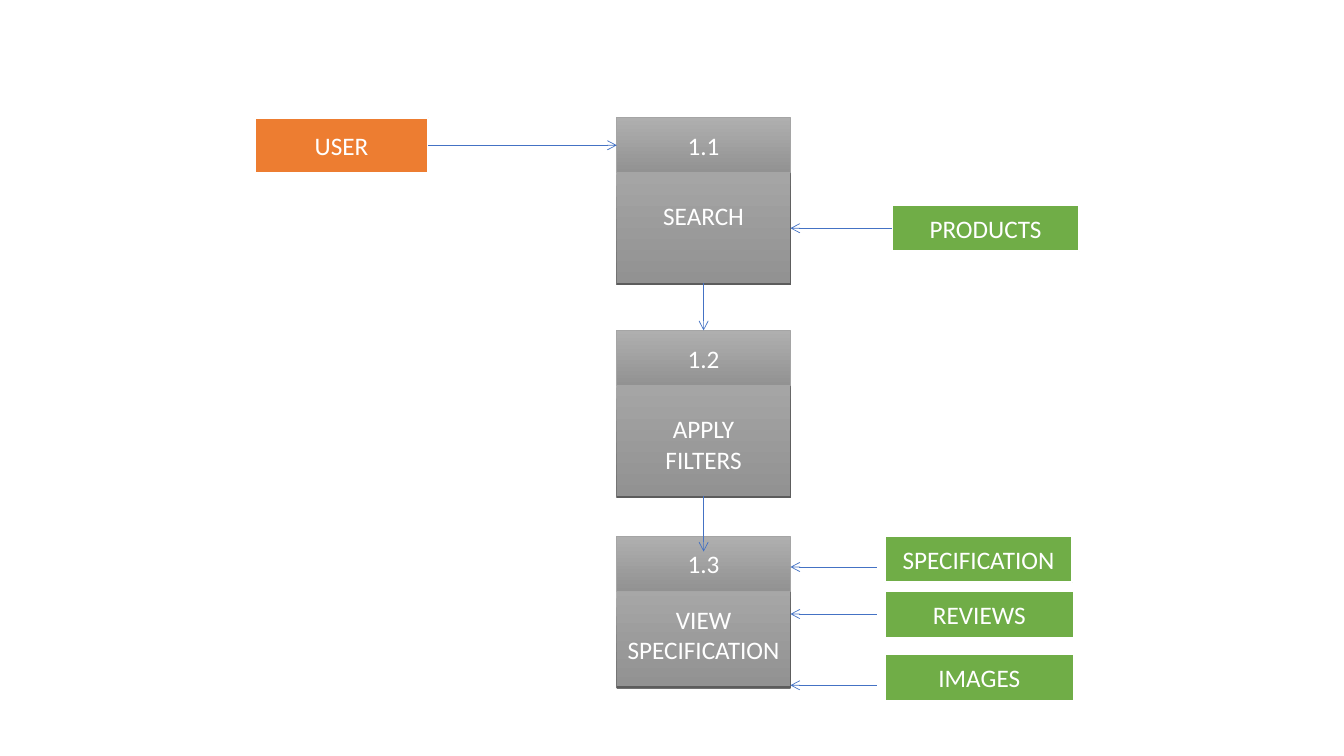
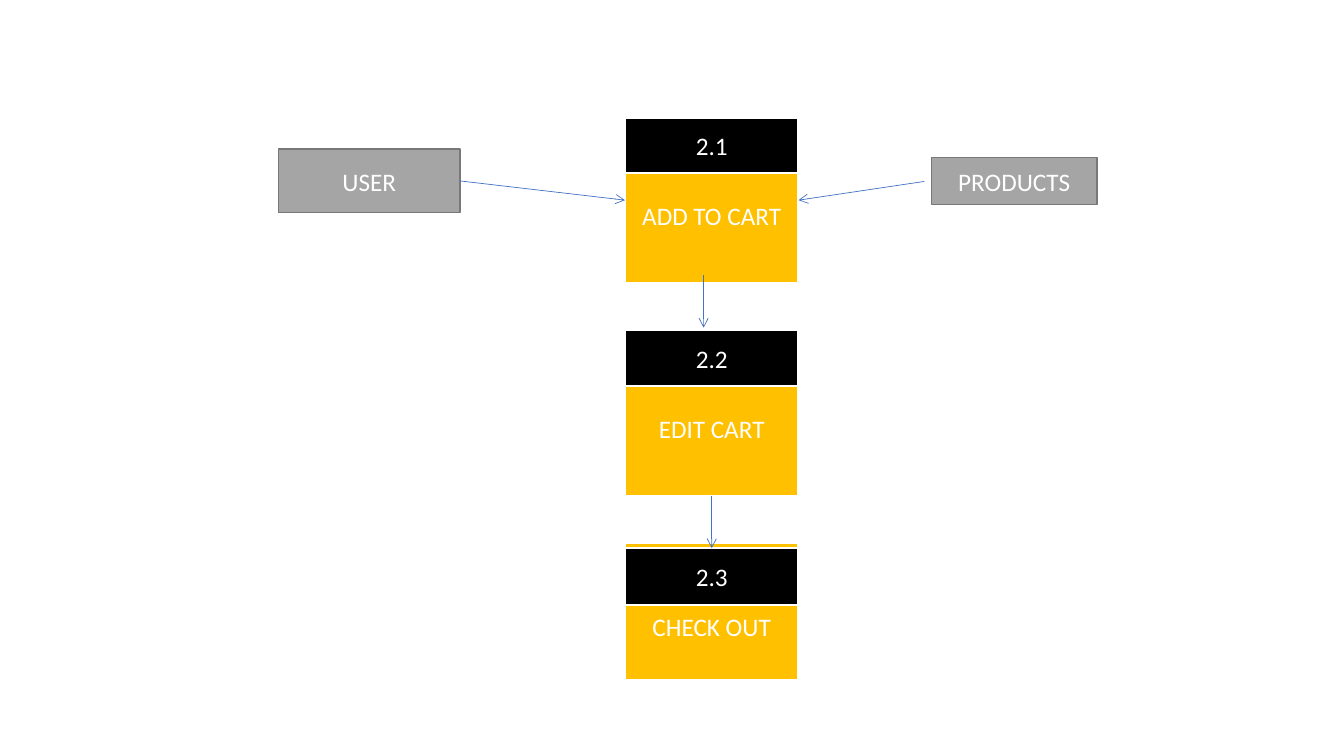
from dataclasses import dataclass
from typing import Optional

from lxml.etree import SubElement
from pptx import Presentation
from pptx.dml.color import RGBColor as Rgb
from pptx.enum.shapes import MSO_CONNECTOR as Connector, MSO_SHAPE as Shape
from pptx.enum.text import MSO_ANCHOR as Anchor, PP_ALIGN as Align
from pptx.oxml.ns import qn
from pptx.util import Pt


@dataclass(frozen=True)
class Style:
    """Look of a box: one fill colour is solid, two make a gradient."""
    fills: tuple
    line: Optional[str] = None
    line_width: float = 1.5
    shadow: bool = False


@dataclass(frozen=True)
class Theme:
    font: str = "Calibri"
    size: float = 18
    line_height: float = 22
    text: str = "FFFFFF"
    arrow: str = "4472C4"
    arrow_width: float = 0.5
    orange: Style = Style(("ED7D31",), "FFFFFF")
    green: Style = Style(("70AD47",), "FFFFFF")
    gray: Style = Style(("A5A5A5",), "787878", 1)
    gold: Style = Style(("FFC000",), "FFFFFF")
    black: Style = Style(("000000",), "FFFFFF")
    metal: Style = Style(("AFAFAF", "929292"), shadow=True)
    metal_head: Style = Style(("AFAFAF", "929292"), "A5A5A5", 0.5)


THEME = Theme()
TOP, LEFT, BOTTOM, RIGHT = range(4)  # connection sites of a rectangle

# Process columns: shared box width and vertical rhythm
STEP_WIDTH, STEP_HEIGHT, HEAD_HEIGHT = 124, 118, 39.5
FIRST_TOP, STEP_PITCH = 84, 152


def rgb(color):
    return Rgb.from_string(color)


def add_drop_shadow(box):
    effects = box.element.spPr.find(qn("a:effectLst"))
    shadow = SubElement(effects, qn("a:outerShdw"), blurRad="0",
                        dist=str(Pt(1.5)), dir="5400000", algn="ctr", rotWithShape="0")
    color = SubElement(shadow, qn("a:srgbClr"), val="000000")
    SubElement(color, qn("a:alpha"), val="63000")


def paint(box, style):
    if len(style.fills) == 1:
        box.fill.solid()
        box.fill.fore_color.rgb = rgb(style.fills[0])
    else:
        box.fill.gradient()
        box.fill.gradient_angle = 270
        for stop, color in zip(box.fill.gradient_stops, style.fills):
            stop.color.rgb = rgb(color)
    if style.line:
        box.line.color.rgb = rgb(style.line)
        box.line.width = Pt(style.line_width)
    else:
        box.line.fill.background()
    box.shadow.inherit = False
    if style.shadow:
        add_drop_shadow(box)


def add_box(page, text, style, left, top, width, height, lead=0):
    """Add a labelled rectangle; lead is the number of lines kept free above the text."""
    box = page.shapes.add_shape(Shape.RECTANGLE, Pt(left), Pt(top), Pt(width), Pt(height))
    paint(box, style)
    frame = box.text_frame
    frame.word_wrap = True
    frame.vertical_anchor = Anchor.MIDDLE
    frame.margin_top = Pt(3.6 + lead * THEME.line_height)
    frame.text = text
    for para in frame.paragraphs:
        para.alignment = Align.CENTER
        para.font.name = THEME.font
        para.font.size = Pt(THEME.size)
        para.font.color.rgb = rgb(THEME.text)
    return box


def add_steps(page, left, steps, body_style, head_style):
    """Add the process column; return its bodies and its numbered heads."""
    bodies = [add_box(page, text, body_style, left, top, STEP_WIDTH, height, lead)
              for _, text, top, height, lead, _, _ in steps]
    heads = [add_box(page, number, head_style, left, top, STEP_WIDTH, height)
             for number, _, _, _, _, top, height in steps]
    return bodies, heads


def locate(end):
    """Turn an end, either (box, site) or (x, y) in points, into a position."""
    place, site = end
    if isinstance(place, (int, float)):
        return Pt(place), Pt(site)
    across, down = {TOP: (1, 0), LEFT: (0, 1), BOTTOM: (1, 2), RIGHT: (2, 1)}[site]
    return place.left + place.width * across // 2, place.top + place.height * down // 2


def add_arrow(page, start, end):
    arrow = page.shapes.add_connector(Connector.STRAIGHT, *locate(start), *locate(end))
    for (place, site), connect in ((start, arrow.begin_connect), (end, arrow.end_connect)):
        if not isinstance(place, (int, float)):
            connect(place, site)
    arrow.line.color.rgb = rgb(THEME.arrow)
    arrow.line.width = Pt(THEME.arrow_width)
    SubElement(arrow.line._get_or_add_ln(), qn("a:tailEnd"), type="arrow")
    SubElement(arrow.element.spPr, qn("a:effectLst"))


def build_search(page):
    left, second_top = 440.6, FIRST_TOP + STEP_PITCH
    right = left + STEP_WIDTH
    user = add_box(page, "USER", THEME.orange, 182, FIRST_TOP, STEP_WIDTH, HEAD_HEIGHT)
    # number, text, body top and height, free lines, head top and height
    bodies, heads = add_steps(page, left, [
        ("1.1", "SEARCH", FIRST_TOP, STEP_HEIGHT, 1, FIRST_TOP, HEAD_HEIGHT),
        ("1.2", "APPLY\nFILTERS", second_top, STEP_HEIGHT, 2, second_top, HEAD_HEIGHT),
        ("1.3", "VIEW SPECIFICATION", 394, 96, 1, 383, HEAD_HEIGHT),
    ], THEME.metal, THEME.metal_head)

    # Data stores
    products = add_box(page, "PRODUCTS", THEME.green, 637, 146.5, 134, 33)
    for text, top, width, arrow_y in (("SPECIFICATION", 382.5, 134, 405),
                                      ("REVIEWS", 422, 135, 438.6),
                                      ("IMAGES", 467, 135, 489.5)):
        add_box(page, text, THEME.green, 632, top, width, 33.5)
        add_arrow(page, (626.4, arrow_y), (right, arrow_y))

    # Flow
    add_arrow(page, (user, RIGHT), (heads[0], LEFT))
    add_arrow(page, (products, LEFT), (right, 163))
    for upper, lower in zip(bodies, bodies[1:]):
        add_arrow(page, (upper, BOTTOM), (lower, TOP))


def build_cart(page):
    second_top = FIRST_TOP + STEP_PITCH
    bodies, heads = add_steps(page, 446.4, [
        ("2.1", "ADD TO CART", FIRST_TOP, STEP_HEIGHT, 1, FIRST_TOP, HEAD_HEIGHT),
        ("2.2", "EDIT CART", second_top, STEP_HEIGHT, 1, second_top, HEAD_HEIGHT),
        ("2.3", "CHECK OUT", 388, 97.5, 1, 391.5, 41),
    ], THEME.gold, THEME.black)

    # User and data store
    user = add_box(page, "USER", THEME.gray, 199, 106.5, 129.6, 45.5)
    add_box(page, "PRODUCTS", THEME.gray, 665.5, 112.5, 118, 33.5)

    # Flow
    add_arrow(page, (user, RIGHT), (bodies[0], LEFT))
    add_arrow(page, (660.2, 129.6), (bodies[0], RIGHT))
    add_arrow(page, (502.6, 196.6), (502.6, 234))
    add_arrow(page, (bodies[1], BOTTOM), (heads[2], TOP))


def main():
    deck = Presentation()
    deck.slide_width, deck.slide_height = Pt(960), Pt(540)
    blank = deck.slide_layouts[6]
    for build in (build_search, build_cart):
        build(deck.slides.add_slide(blank))
    deck.save("out.pptx")


if __name__ == "__main__":
    main()
